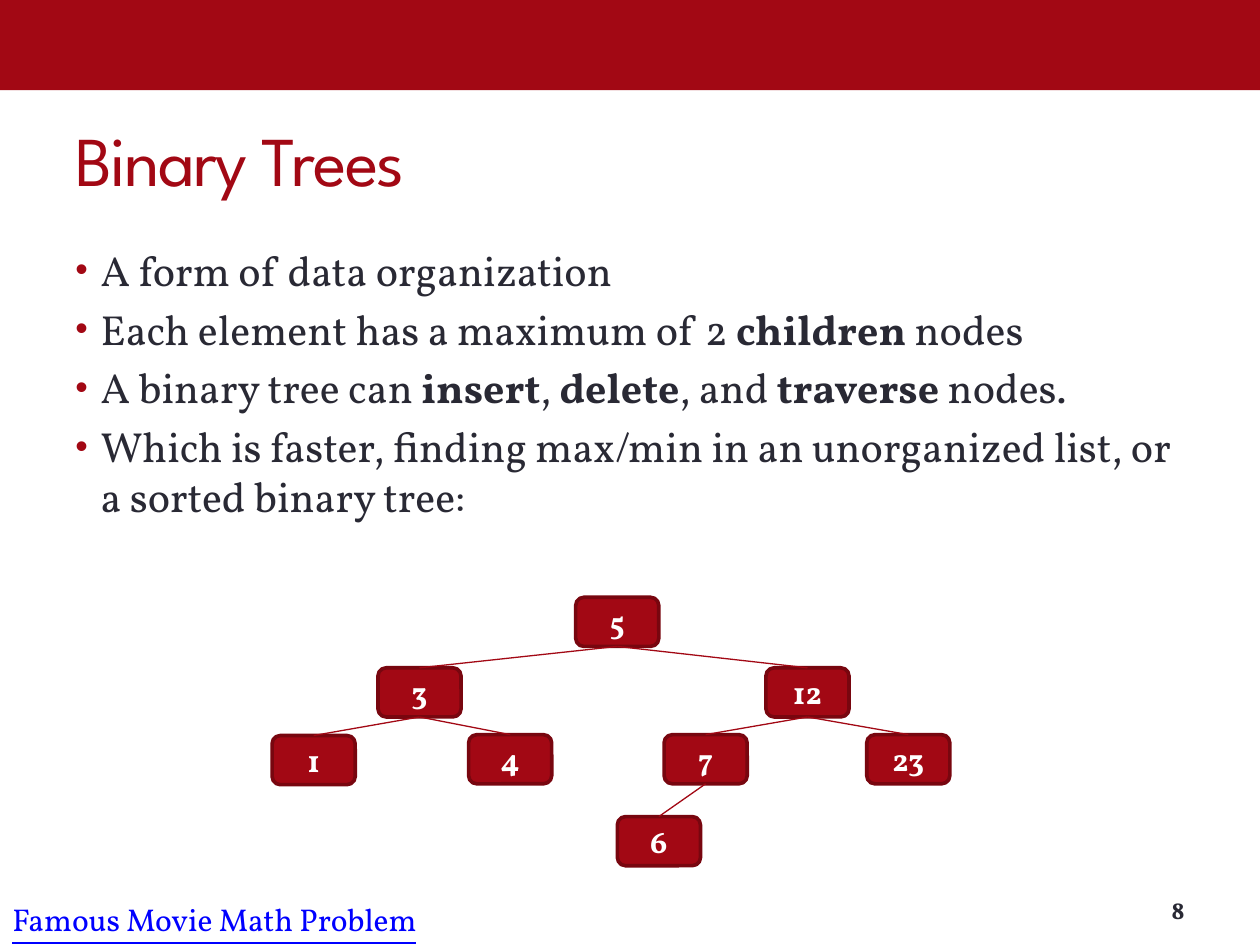
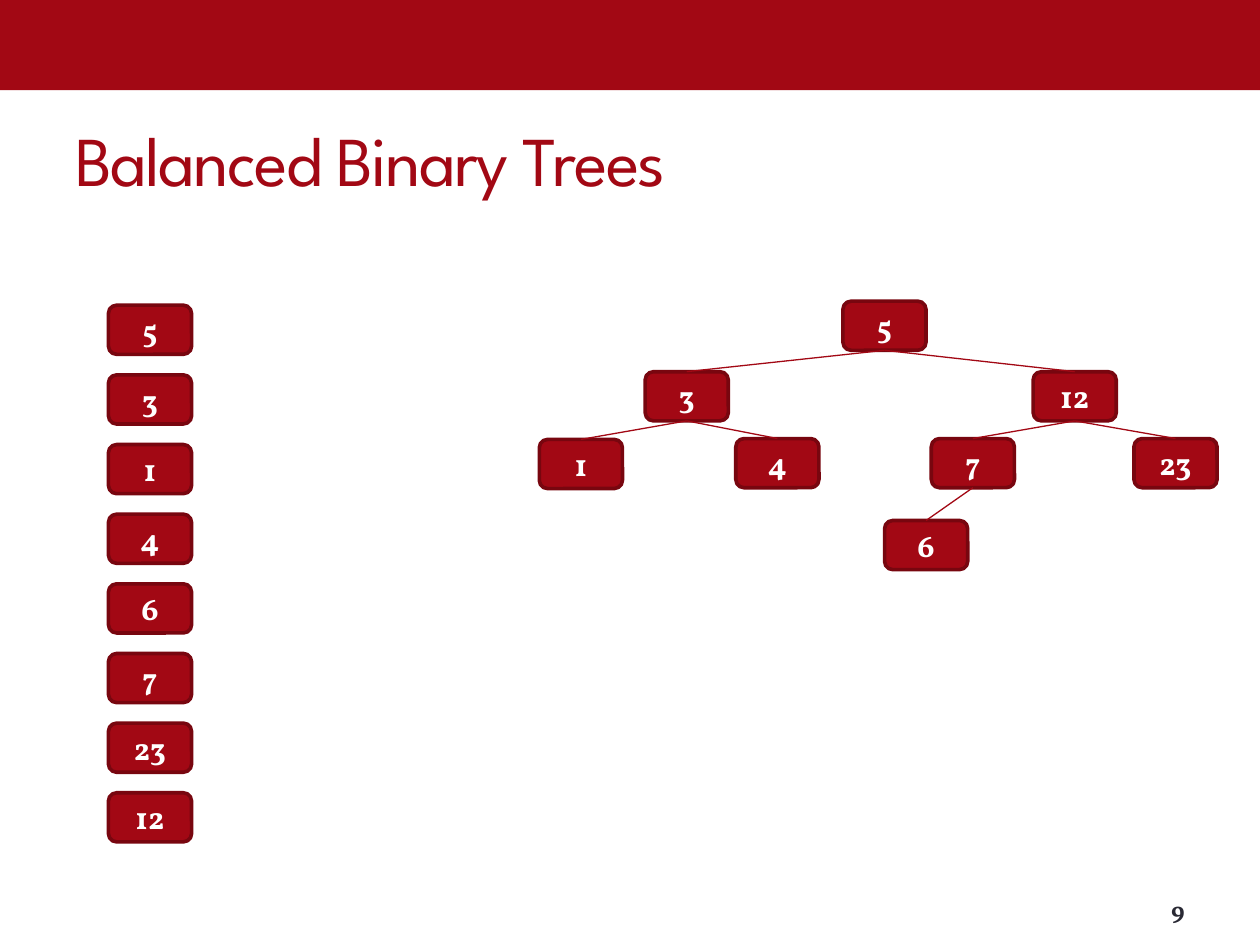
from lxml.etree import SubElement
from pptx import Presentation
from pptx.dml.color import RGBColor
from pptx.enum.shapes import MSO_CONNECTOR as Link, MSO_SHAPE as Preset
from pptx.enum.text import MSO_ANCHOR as Anchor, PP_ALIGN as Align
from pptx.oxml.ns import qn
from pptx.util import Pt

RED = RGBColor(0xA2, 0x08, 0x14)
DARK_RED = RGBColor(0x78, 0x06, 0x0F)
INK = RGBColor(0x29, 0x29, 0x34)
BLUE = RGBColor(0x00, 0x00, 0xFF)
WHITE = RGBColor(0xFF, 0xFF, 0xFF)
HEAD_FONT, BODY_FONT = "League Spartan", "Vollkorn"

PAGE_WIDTH, PAGE_HEIGHT = 720, 540
MARGIN, BAND_HEIGHT = 36, 51.6
NODE_WIDTH, NODE_HEIGHT = 47.5, 28.1
TOP_SITE, BOTTOM_SITE = 0, 2

TREE_NODES = {
    "5": (173.5, 0), "12": (282.2, 40.3), "3": (60.5, 40.3), "1": (0, 79),
    "4": (112.3, 78.5), "7": (224, 78.5), "23": (339.8, 78.5), "6": (197.3, 125.3),
}
TREE_EDGES = [("5", "12"), ("5", "3"), ("3", "1"), ("3", "4"),
              ("12", "7"), ("12", "23"), ("7", "6")]
BULLETS = [
    "A form of data organization",
    "Each element has a maximum of 2 *children *nodes",
    "A binary tree can *insert*,* delete*, and *traverse* nodes.",
    "Which is faster, finding max/min in an unorganized list, or a sorted binary tree:",
]


def style(para, size, color, name=BODY_FONT, bold=False, align=Align.LEFT):
    para.alignment = align
    font = para.font
    font.name, font.size, font.bold = name, Pt(size), bold
    font.color.rgb = color


def add_text_box(page, left, top, width, height, anchor=Anchor.TOP):
    box = page.shapes.add_textbox(Pt(left), Pt(top), Pt(width), Pt(height))
    frame = box.text_frame
    frame.word_wrap = True
    frame.vertical_anchor = anchor
    return frame


def add_page(deck, title, number):
    page = deck.slides.add_slide(deck.slide_layouts[6])
    band = page.shapes.add_shape(Preset.RECTANGLE, 0, 0, Pt(PAGE_WIDTH), Pt(BAND_HEIGHT))
    band.shadow.inherit = False
    band.fill.solid()
    band.fill.fore_color.rgb = RED
    band.line.fill.background()

    heading = add_text_box(page, MARGIN, BAND_HEIGHT, PAGE_WIDTH - 2 * MARGIN, 78.4,
                           Anchor.MIDDLE).paragraphs[0]
    span = heading.add_run()
    span.text = title
    span.font._element.set("spc", "-100")
    style(heading, 40, RED, HEAD_FONT)

    footer = add_text_box(page, 600, 507, 84, 26, Anchor.MIDDLE).paragraphs[0]
    footer.text = str(number)
    style(footer, 14, INK, bold=True, align=Align.RIGHT)
    return page


def add_bullets(page, left, top, width, height, items):
    frame = add_text_box(page, left, top, width, height)
    for index, item in enumerate(items):
        para = frame.add_paragraph() if index else frame.paragraphs[0]
        for part, text in enumerate(item.split("*")):
            span = para.add_run()
            span.text = text
            if part % 2:
                span.font.bold = True
        para.space_before = Pt(4.8)
        settings = para._p.get_or_add_pPr()
        settings.set("marL", str(Pt(14.4)))
        settings.set("indent", str(-Pt(14.4)))
        color = SubElement(settings, qn("a:buClr"))
        SubElement(color, qn("a:srgbClr")).set("val", str(RED))
        SubElement(settings, qn("a:buSzPct")).set("val", "85000")
        SubElement(settings, qn("a:buFont")).set("typeface", "Arial")
        SubElement(settings, qn("a:buChar")).set("char", "•")
        style(para, 24, INK)


def add_link_label(page, left, top, width, height, text):
    para = add_text_box(page, left, top, width, height).paragraphs[0]
    para.text = text
    style(para, 18, BLUE)
    para.font.underline = True


def add_node(group, left, top, label):
    node = group.shapes.add_shape(Preset.ROUNDED_RECTANGLE, Pt(left), Pt(top),
                                  Pt(NODE_WIDTH), Pt(NODE_HEIGHT))
    node.shadow.inherit = False
    node.fill.solid()
    node.fill.fore_color.rgb = RED
    node.line.color.rgb = DARK_RED
    node.line.width = Pt(2.08)
    frame = node.text_frame
    frame.vertical_anchor = Anchor.MIDDLE
    frame.text = label
    style(frame.paragraphs[0], 18, WHITE, bold=True, align=Align.CENTER)
    return node


def add_edge(group, parent, child):
    edge = group.shapes.add_connector(Link.STRAIGHT, 0, 0, 0, 0)
    edge.begin_connect(parent, BOTTOM_SITE)
    edge.end_connect(child, TOP_SITE)
    edge.line.color.rgb = RED
    edge.line.width = Pt(0.75)
    SubElement(edge._element.spPr, qn("a:effectLst"))


def add_tree(page, left, top):
    group = page.shapes.add_group_shape()
    nodes = {label: add_node(group, left + x, top + y, label)
             for label, (x, y) in TREE_NODES.items()}
    for parent, child in TREE_EDGES:
        add_edge(group, nodes[parent], nodes[child])


def add_node_column(page, left, top, step, labels):
    group = page.shapes.add_group_shape()
    for index, label in enumerate(labels):
        add_node(group, left, top + index * step, label)


deck = Presentation()
deck.slide_width, deck.slide_height = Pt(PAGE_WIDTH), Pt(PAGE_HEIGHT)

trees = add_page(deck, "Binary Trees", 8)
add_bullets(trees, MARGIN, 136, PAGE_WIDTH - 2 * MARGIN, 179, BULLETS)
add_link_label(trees, 0, 511, 245.5, 29, "Famous Movie Math Problem")
add_tree(trees, 155.5, 341.3)

balanced = add_page(deck, "Balanced Binary Trees", 9)
add_tree(balanced, 308.2, 172.1)
add_node_column(balanced, 62, 174.4, 39.8, ["5", "3", "1", "4", "6", "7", "23", "12"])

deck.save("out.pptx")
